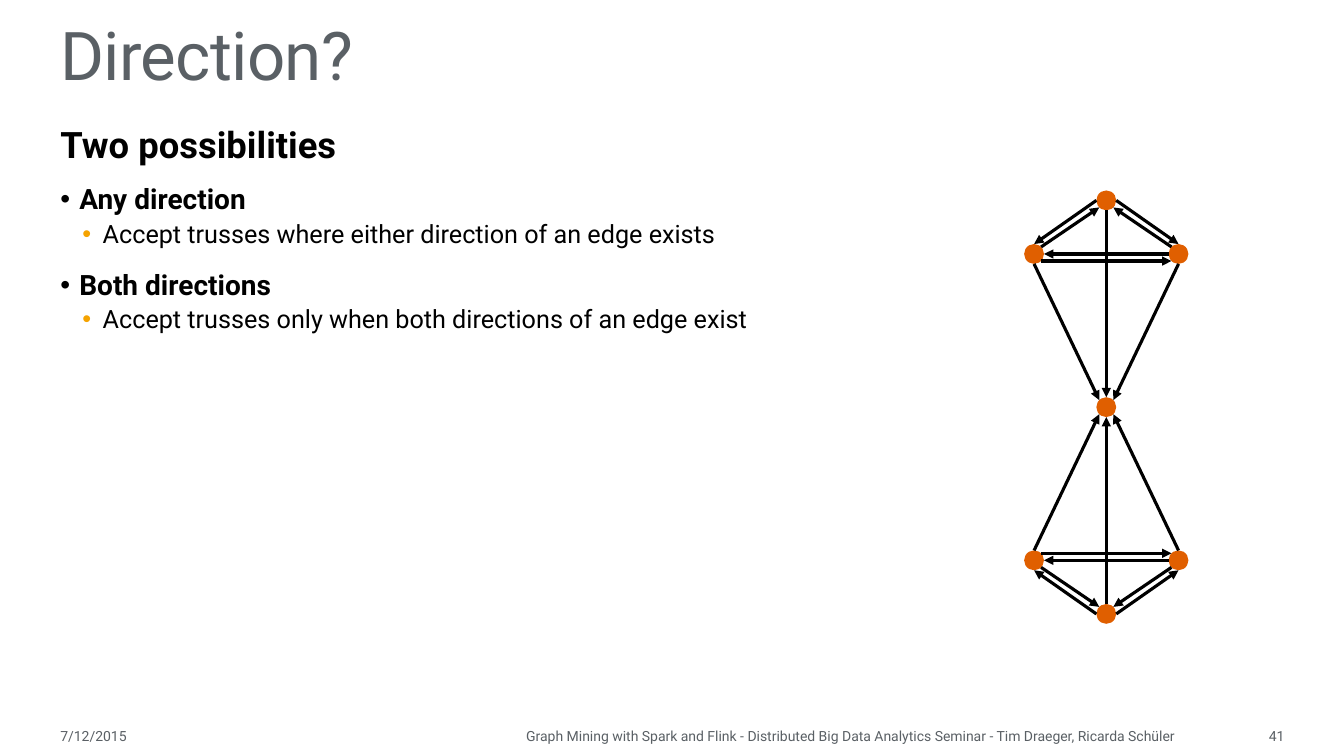
from lxml import etree
from pptx import Presentation
from pptx.dml.color import RGBColor
from pptx.enum import shapes, text
from pptx.oxml import ns
from pptx.util import Cm, Pt

FONT, GREY, BLACK, ORANGE, AMBER = "Roboto", "5A6065", "000000", "E05F00", "F5A300"
LEFT, RIGHT = text.PP_ALIGN.LEFT, text.PP_ALIGN.RIGHT

# kind, text
BODY = [
    ("heading", "Two possibilities"),
    ("point", "Any direction"),
    ("detail", "Accept trusses where either direction of an edge exists"),
    ("point", "Both directions"),
    ("detail", "Accept trusses only when both directions of an edge exist"),
]
# size, bold, space before, space after, left margin, hanging indent, bullet colour
STYLES = {
    "heading": (26, True, 0, 2, 0, 0, None),
    "point": (20, True, 12, 2, 0.48, 0.48, BLACK),
    "detail": (18, False, 2, 4, 1.07, 0.51, AMBER),
}
# left, width, alignment, text
FOOTER = [
    (1.27, 2.67, LEFT, "7/12/2015"),
    (4.04, 25.81, RIGHT, "Graph Mining with Spark and Flink - Distributed Big Data "
                         "Analytics Seminar - Tim Draeger, Ricarda Schüler"),
    (29.95, 2.67, RIGHT, "41"),
]

# The truss hangs below the hub; the upper one is its mirror image.
HUB_X, HUB_Y, RADIUS = 27.88, 10.26, 0.25
NODES = {"hub": (0, 0), "left": (-1.82, 3.86), "right": (1.82, 3.86), "tip": (0, 5.21)}
DIAGONAL = 0.71
SITES = {"N": (0, -1), "S": (0, 1), "W": (-1, 0), "E": (1, 0),
         "NW": (-DIAGONAL, -DIAGONAL), "NE": (DIAGONAL, -DIAGONAL),
         "SW": (-DIAGONAL, DIAGONAL), "SE": (DIAGONAL, DIAGONAL)}
EDGES = [
    ("left", "N", "hub", "SW"), ("tip", "N", "hub", "S"), ("right", "N", "hub", "SE"),
    ("left", "NE", "right", "NW"), ("right", "W", "left", "E"),
    ("left", "SE", "tip", "NW"), ("right", "SW", "tip", "NE"),
    ("tip", "W", "left", "S"), ("tip", "E", "right", "S"),
]


def rgb(value):
    return RGBColor.from_string(value)


def add_box(s, left, top, width, height, anchor):
    tf = s.shapes.add_textbox(Cm(left), Cm(top), Cm(width), Cm(height)).text_frame
    tf.word_wrap = True
    tf.vertical_anchor = anchor
    return tf


def add_run(p, words, size, color, bold=False):
    r = p.add_run()
    r.text = words
    r.font.name, r.font.size, r.font.bold = FONT, Pt(size), bold
    r.font.color.rgb = rgb(color)
    return r


def add_bullet(p, margin, hang, color):
    pPr = p._p.get_or_add_pPr()
    pPr.set("marL", str(Cm(margin)))
    pPr.set("indent", str(-Cm(hang)))
    bu_color = etree.SubElement(pPr, ns.qn("a:buClr"))
    etree.SubElement(bu_color, ns.qn("a:srgbClr"), val=color)
    etree.SubElement(pPr, ns.qn("a:buFont"), typeface="Arial")
    etree.SubElement(pPr, ns.qn("a:buChar"), char="•")


def add_body(s):
    tf = add_box(s, 1.27, 3.07, 31.01, 14.4, text.MSO_ANCHOR.TOP)
    for i, (kind, words) in enumerate(BODY):
        size, bold, before, after, margin, hang, bullet = STYLES[kind]
        p = tf.add_paragraph() if i else tf.paragraphs[0]
        if bullet:
            add_bullet(p, margin, hang, bullet)
        p.level = 1 if kind == "detail" else 0
        p.line_spacing = 0.9
        p.space_before, p.space_after = Pt(before), Pt(after)
        add_run(p, words, size, BLACK, bold)


def add_arrow(s, start, end):
    line = s.shapes.add_connector(shapes.MSO_CONNECTOR.STRAIGHT,
                                  *(Cm(v) for v in start + end))
    line.line.color.rgb = rgb(BLACK)
    line.line.width = Pt(2.25)
    etree.SubElement(line.line._get_or_add_ln(), ns.qn("a:tailEnd"), type="triangle")
    etree.SubElement(line._element.spPr, ns.qn("a:effectLst"))


def add_truss(s, side):
    """Draw one truss; side is 1 below the hub and -1 above it."""
    def place(node, site=None):
        x, y = NODES[node]
        dx, dy = SITES.get(site, (0, 0))
        return HUB_X + x + RADIUS * dx, HUB_Y + side * (y + RADIUS * dy)

    for node in NODES:
        if node == "hub" and side < 0:
            continue  # both trusses share the hub
        x, y = place(node)
        dot = s.shapes.add_shape(shapes.MSO_SHAPE.OVAL, Cm(x - RADIUS), Cm(y - RADIUS),
                                 Cm(2 * RADIUS), Cm(2 * RADIUS))
        dot.shadow.inherit = False
        dot.fill.solid()
        dot.fill.fore_color.rgb = rgb(ORANGE)
        dot.line.fill.background()
    for tail, tail_site, head, head_site in EDGES:
        add_arrow(s, place(tail, tail_site), place(head, head_site))


def main():
    prs = Presentation()
    prs.slide_width, prs.slide_height = Cm(33.87), Cm(19.05)
    s = prs.slides.add_slide(prs.slide_layouts[6])

    p = add_box(s, 1.27, 0, 28.04, 2.51, text.MSO_ANCHOR.BOTTOM).paragraphs[0]
    p.line_spacing = 0.85
    r = add_run(p, "Direction?", 48, GREY)
    r.font._element.set("spc", "-50")

    add_body(s)
    for left, width, align, words in FOOTER:
        p = add_box(s, left, 18.06, width, 0.99, text.MSO_ANCHOR.MIDDLE).paragraphs[0]
        p.alignment = align
        add_run(p, words, 10, GREY)
    for side in (1, -1):
        add_truss(s, side)
    prs.save("out.pptx")


if __name__ == "__main__":
    main()
